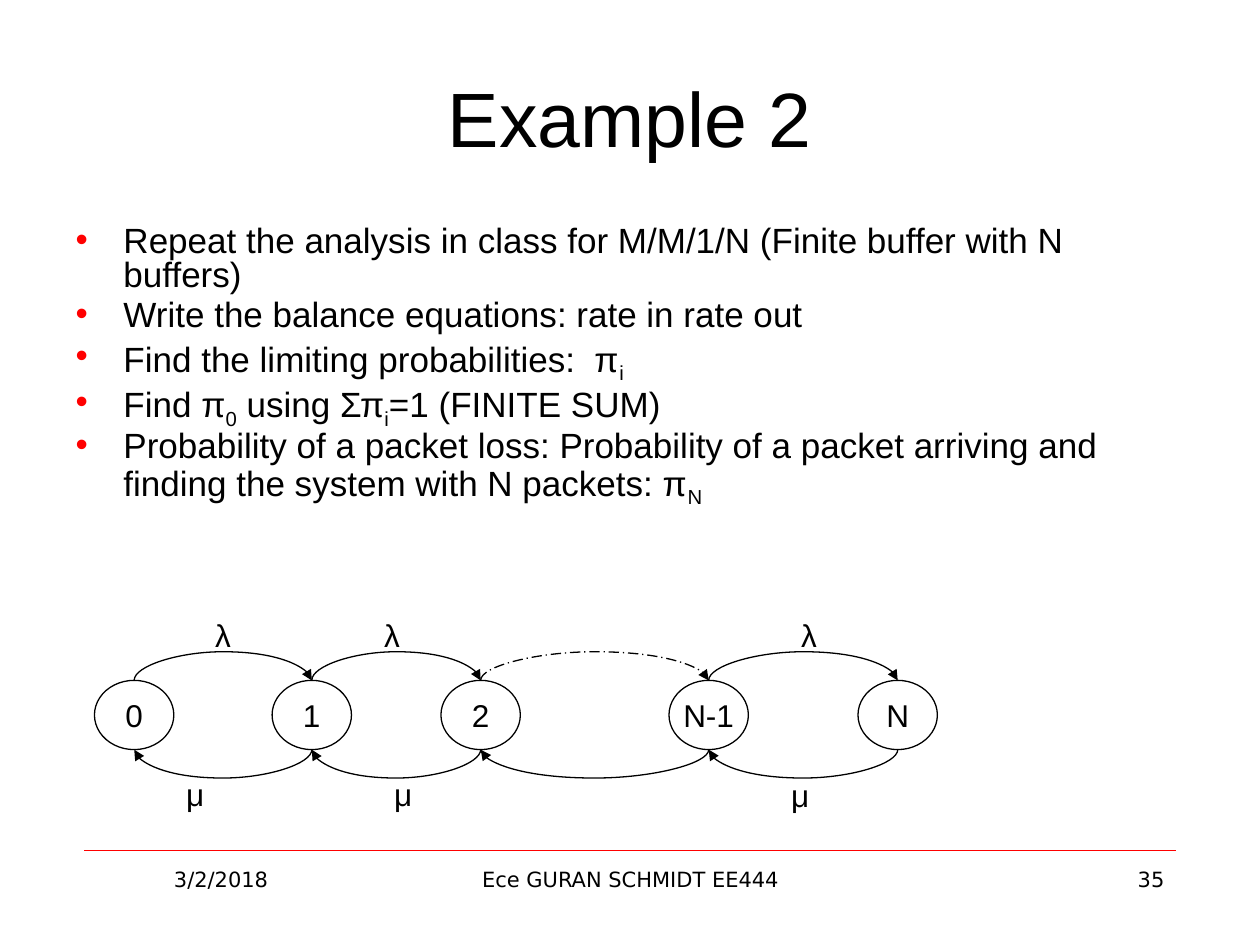
from itertools import pairwise

from lxml import etree
from pptx import Presentation
from pptx.dml.color import RGBColor
from pptx.enum.dml import MSO_LINE
from pptx.enum.shapes import MSO_CONNECTOR, MSO_SHAPE
from pptx.enum.text import MSO_ANCHOR, MSO_AUTO_SIZE, PP_ALIGN
from pptx.oxml.ns import qn
from pptx.util import Emu, Inches, Pt

BLACK = RGBColor(0x00, 0x00, 0x00)
RED = RGBColor(0xFF, 0x00, 0x00)
LEFT, CENTER, RIGHT = PP_ALIGN.LEFT, PP_ALIGN.CENTER, PP_ALIGN.RIGHT
MIDDLE, TOP = MSO_ANCHOR.MIDDLE, MSO_ANCHOR.TOP
NO_FIT = MSO_AUTO_SIZE.NONE
OVAL = MSO_SHAPE.OVAL
STRAIGHT, CURVE = MSO_CONNECTOR.STRAIGHT, MSO_CONNECTOR.CURVE
DASH_DOT = MSO_LINE.LONG_DASH_DOT
TOP_SITE, BOTTOM_SITE = 0, 4
ARC_DEPTH = Inches(0.25)
ARC_BASE = Emu(1588)

BULLETS = [
    "Repeat the analysis in class for M/M/1/N (Finite buffer with N buffers)",
    "Write the balance equations: rate in rate out",
    "Find the limiting probabilities:  π|i",
    "Find π|0| using Σπ|i|=1 (FINITE SUM)",
    "Probability of a packet loss: Probability of a packet arriving and "
    "finding the system with N packets: π|N",
]
STATES = [("0", 7.5), ("1", 21.6), ("2", 35), ("N-1", 53.1), ("N", 68.1)]
RATES = [
    ("λ", 16.1, 64.53), ("λ", 29.5, 64.53), ("λ", 62.6, 64.53),
    ("μ", 13.8, 81.33), ("μ", 30.3, 81.33), ("μ", 61.8, 81.47),
]
FOOTER = [
    ("3/2/2018", 6.7, 21.7, CENTER),
    ("Ece GURAN SCHMIDT EE444", 34.2, 31.7, CENTER),
    ("35", 71.7, 21.7, RIGHT),
]


def apply(target, values):
    for name, value in values.items():
        setattr(target, name, value)


class SlideBuilder:
    """Draws styled elements on one slide, with lengths in percent of its size."""

    def __init__(self, deck):
        self.deck = deck
        self.slide = deck.slides.add_slide(deck.slide_layouts[1])
        self.shapes = self.slide.shapes

    def box(self, x, y, width, height):
        across, down = self.deck.slide_width, self.deck.slide_height
        return [Emu(round(share * size / 100)) for share, size in
                ((x, across), (y, down), (width, across), (height, down))]

    def add_text(self, paragraph, text, size, font="Arial", align=LEFT):
        paragraph.alignment = align
        for order, piece in enumerate(text.split("|")):
            run = paragraph.add_run()
            run.text = piece
            apply(run.font, {"size": Pt(size), "name": font})
            run.font.color.rgb = BLACK
            if order % 2:
                run._r.get_or_add_rPr().set("baseline", "-25000")

    def place(self, placeholder, bounds, anchor):
        apply(placeholder, dict(zip(("left", "top", "width", "height"), self.box(*bounds))))
        frame = placeholder.text_frame
        apply(frame, {"auto_size": NO_FIT, "word_wrap": True, "vertical_anchor": anchor})
        return frame

    def title(self, text, bounds):
        frame = self.place(self.shapes.title, bounds, MIDDLE)
        self.add_text(frame.paragraphs[0], text, 44, align=CENTER)

    def bullets(self, items, bounds):
        frame = self.place(self.slide.placeholders[1], bounds, TOP)
        for order, item in enumerate(items):
            paragraph = frame.add_paragraph() if order else frame.paragraphs[0]
            apply(paragraph, {"line_spacing": 0.8, "space_before": Pt(4 if order else 0)})
            properties = paragraph._p.get_or_add_pPr()
            properties.set("marL", str(Inches(0.38)))
            properties.set("indent", str(-Inches(0.38)))
            color = etree.SubElement(properties, qn("a:buClr"))
            etree.SubElement(color, qn("a:srgbClr"), val=str(RED))
            etree.SubElement(properties, qn("a:buFont"), typeface="Arial")
            etree.SubElement(properties, qn("a:buChar"), char="•")
            self.add_text(paragraph, item, 20)

    def label(self, text, bounds, size=18, **style):
        frame = self.shapes.add_textbox(*self.box(*bounds)).text_frame
        frame.word_wrap = True
        self.add_text(frame.paragraphs[0], text, size, **style)

    def state(self, text, x):
        oval = self.shapes.add_shape(OVAL, *self.box(x, 72, 6.3, 7.33))
        oval.shadow.inherit = False
        oval.fill.background()
        oval.line.color.rgb = BLACK
        oval.line.width = Pt(0.75)
        apply(oval.text_frame, {"word_wrap": False, "vertical_anchor": MIDDLE})
        self.add_text(oval.text_frame.paragraphs[0], text, 18, align=CENTER)
        return oval

    def connector(self, kind, ends, color, width):
        line = self.shapes.add_connector(kind, *ends)
        line.line.color.rgb = color
        line.line.width = Pt(width)
        etree.SubElement(line._element.spPr, qn("a:effectLst"))
        return line

    def rule(self, x, y, width):
        left, top, length, _ = self.box(x, y, width, 0)
        self.connector(STRAIGHT, (left, top, left + length, top), RED, 0.25)

    def arc(self, source, target, site, dash=None):
        above = site == TOP_SITE
        edge = source.top if above else source.top + source.height
        start, end = (node.left + node.width // 2 for node in (source, target))
        arrow = self.connector(CURVE, (start, edge, end, edge), BLACK, 0.75)
        arrow.begin_connect(source, 0)
        arrow.end_connect(target, 0)
        joints = arrow._element.nvCxnSpPr.cNvCxnSpPr
        for joint in (joints.stCxn, joints.endCxn):
            joint.idx = site

        span = abs(end - start)
        frame = arrow._element.spPr.xfrm
        for flip in ("flipH", "flipV"):
            frame.attrib.pop(flip, None)
        frame.set("rot", "5400000")
        if above:
            frame.set("flipV", "1")
        apply(arrow, {"left": Emu((start + end - ARC_BASE) // 2),
                      "top": Emu(edge - span // 2),
                      "width": ARC_BASE, "height": Emu(span)})
        depth = round(ARC_DEPTH / ARC_BASE * 100000) * (-1 if above else 1)
        guides = arrow._element.spPr.find(qn("a:prstGeom")).get_or_add_avLst()
        etree.SubElement(guides, qn("a:gd"), name="adj1", fmla=f"val {depth}")
        if dash:
            arrow.line.dash_style = dash
        outline = arrow._element.spPr.find(qn("a:ln"))
        etree.SubElement(outline, qn("a:tailEnd"), type="triangle")


def main():
    deck = Presentation()
    apply(deck, {"slide_width": Inches(10), "slide_height": Inches(7.5)})
    page = SlideBuilder(deck)

    page.rule(6.7, 90, 86.6)
    for text, x, width, align in FOOTER:
        page.label(text, (x, 91.07, width, 6.93), 12, font="DejaVu Sans", align=align)
    page.title("Example 2", (5, 4, 90, 16.67))
    page.bullets(BULLETS, (5, 23.33, 89.1, 43.47))

    states = [page.state(text, x) for text, x in STATES]
    for order, (lower, upper) in enumerate(pairwise(states)):
        page.arc(lower, upper, TOP_SITE, DASH_DOT if order == 2 else None)
        page.arc(upper, lower, BOTTOM_SITE)
    for text, x, y in RATES:
        page.label(text, (x, y, 6.3, 5.33))

    deck.save("out.pptx")


if __name__ == "__main__":
    main()
